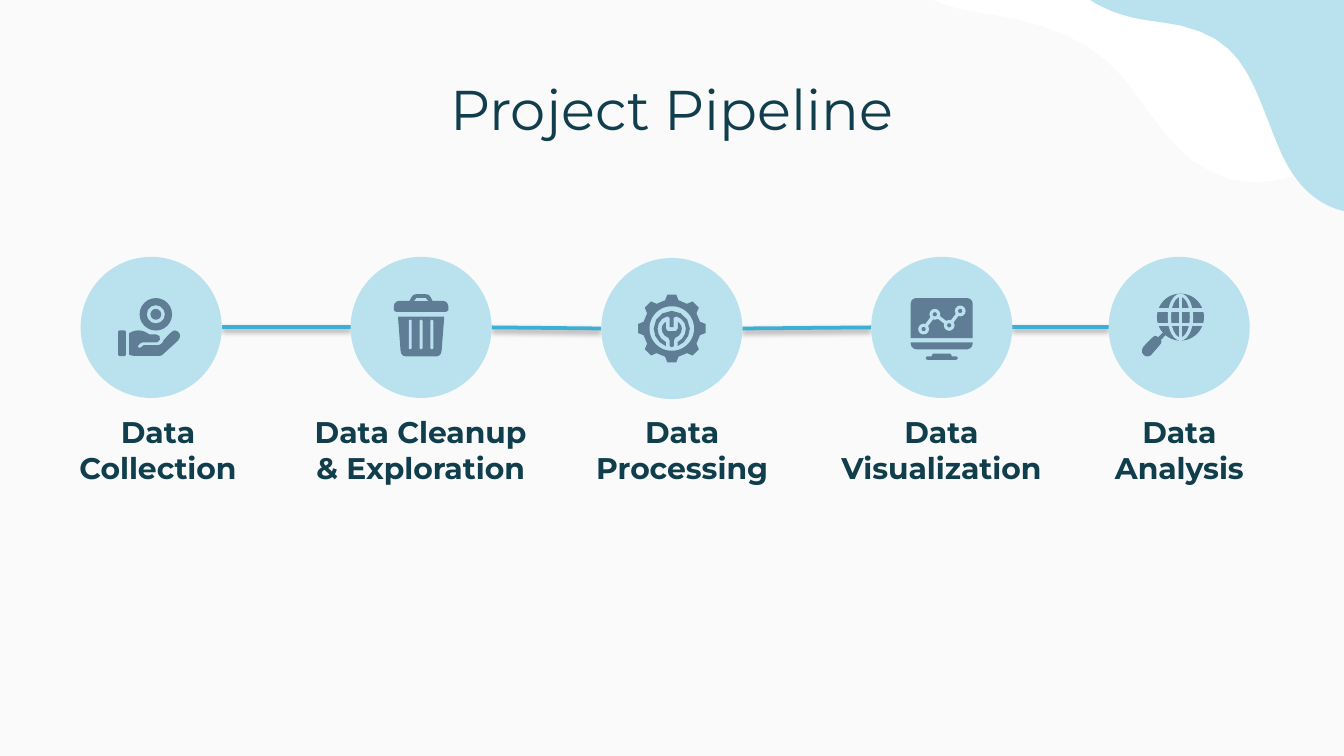
import math
from dataclasses import dataclass

import pptx
import pptx.dml.color
import pptx.enum.shapes
import pptx.enum.text
import pptx.oxml
import pptx.oxml.ns
import pptx.util

Pt = pptx.util.Pt
RGBColor = pptx.dml.color.RGBColor
SHAPE = pptx.enum.shapes.MSO_SHAPE
Point = tuple[float, float]

PAPER = RGBColor(0xFA, 0xFA, 0xFA)
WHITE = RGBColor(0xFF, 0xFF, 0xFF)
SKY = RGBColor(0xBA, 0xE2, 0xEE)
CYAN = RGBColor(0x3E, 0xAF, 0xD4)
SLATE = RGBColor(0x5F, 0x7D, 0x95)
INK = RGBColor(0x10, 0x3E, 0x4C)
FONT = "Montserrat"
HUB = 75.6  # diameter of a stage circle
SHADOW = (f'<a:outerShdw blurRad="{Pt(3.1)}" dist="{Pt(1.6)}" dir="5400000" algn="ctr" '
          'rotWithShape="0"><a:srgbClr val="000000"><a:alpha val="38000"/></a:srgbClr>'
          '</a:outerShdw>')


@dataclass
class Outline:
    points: list[Point]
    fill: RGBColor = SLATE


@dataclass
class Preset:
    """A preset shape, placed by its centre."""
    kind: SHAPE
    x: float
    y: float
    width: float
    height: float
    fill: RGBColor = SLATE
    adjust: float | None = None


@dataclass
class Stroke:
    start: Point
    end: Point
    width: float = 1.8
    color: RGBColor = SKY


Part = Outline | Preset | Stroke


@dataclass
class Stage:
    label: str
    x: float  # circle centre
    y: float
    label_left: float
    label_width: float
    icon: list[Part]


# Geometry
def path(start: Point, *steps: tuple[float, ...], cuts: int = 3) -> list[Point]:
    """A step of two numbers is a line, a step of six a Bezier curve."""
    points = [start]
    for step in steps:
        if len(step) == 2:
            points.append(step)
            continue
        knots = [points[-1], step[:2], step[2:4], step[4:]]
        for t in (i / cuts for i in range(1, cuts + 1)):
            weights = [math.comb(3, k) * t**k * (1 - t) ** (3 - k) for k in range(4)]
            points.append(tuple(sum(w * knot[axis] for w, knot in zip(weights, knots))
                                for axis in (0, 1)))
    return points


def mirrored(*half: tuple[float, ...]) -> Outline:
    points = path(*half)
    return Outline(points + [(-x, y) for x, y in reversed(points)])


def disc(x: float, y: float, r: float, fill: RGBColor = SLATE) -> Preset:
    return Preset(SHAPE.OVAL, x, y, 2 * r, 2 * r, fill)


# Icons, measured from the centre of their circle
def hand_with_coin() -> list[Part]:
    hand = path(
        (-6.8, 1.6), (-9, 1.6, -10.4, 2.3, -11.9, 3.1), (-11.9, 14.6),
        (-10.4, 15.3, -9, 15.3, -8.3, 15.3), (3.2, 15.3), (4.7, 15.3, 5.4, 15.3, 6.1, 14.6),
        (14, 7.4), (14, 7.4, 15.5, 5.9, 15.5, 4.5), (15.5, 3.1, 14, 1.6, 12.6, 1.6),
        (11.9, 1.6, 10.4, 2.3, 6.8, 6.7), (6.1, 8.8, 4.7, 9.5, 3.2, 9.5), (-4, 9.5),
        (-5.4, 10.6), (-6.1, 11), (-6.8, 11, -7.6, 10.3, -6.8, 9.5),
        (-6.1, 8.8, -5.4, 8.1, -4.7, 8.1), (3.2, 8.1), (5.4, 7.4, 5.4, 3.7, 2.5, 3.7),
        (-1, 3.7), (-3.2, 2.3, -4.7, 1.6, -6.8, 1.6))
    return [disc(2.5, -7, 2.9), Preset(SHAPE.DONUT, 2.5, -7, 17.4, 17.4, adjust=0.22),
            Preset(SHAPE.ROUNDED_RECTANGLE, -15.6, 8.5, 4.2, 13.8, adjust=0.24), Outline(hand)]


def trash_bin() -> list[Part]:
    lid = mirrored((-2.5, -17.8), (-4, -17.8, -4.7, -17.1, -5.4, -15.7), (-6.1, -14.2),
                   (-11.9, -14.2), (-13.3, -14.2, -14.6, -12.8, -14.6, -11.3), (-14.6, -9.1),
                   (-13.3, -8.3))
    handle = Outline([(-2.5, -15.7), (2.5, -15.7), (3.7, -14.2), (-3.7, -14.2)], SKY)
    body = mirrored((0, -5.7), (-12.4, -5.7), (-11, 12.4), (-11, 14.5, -9.7, 15.5, -8.3, 15.5))
    slots = [Preset(SHAPE.ROUNDED_RECTANGLE, x, 3.8, 1.6, 15.8, SKY, 0.5) for x in (-5.8, 0, 5.8)]
    return [lid, handle, body, *slots]


def gear_with_wrench() -> list[Part]:
    tooth = [(-3.6, -15.1), (-2.4, -18.1), (2.4, -18.1), (3.6, -15.1)]
    turns = [(math.cos(a), math.sin(a)) for a in (math.radians(45 * i) for i in range(8))]
    gear = [(x * c - y * s, x * s + y * c) for c, s in turns for x, y in tooth]
    ring = mirrored((0, -9.5), (-5.2, -9.5, -9.7, -5, -9.7, 0),
                    (-9.7, 4.3, -6.8, 7.9, -3.2, 9.4), (-3.2, 7.2),
                    (-6.1, 5.8, -7.6, 2.9, -7.6, 0), (-7.6, -2.9, -5.4, -5.8, -2.5, -6.5),
                    (-1.1, -5.8), (-1.1, -0.7))
    wrench = mirrored((0, 1.4), (-2.2, 1.4), (-3.2, 0), (-3.2, -3.6),
                      (-4.3, -2.9, -5.4, -1.4, -5.4, 0), (-5.4, 2.2, -4, 4.3, -1.8, 5),
                      (-1.1, 6.5), (-1.1, 9.4), (0, 10.1))
    return [Outline(gear), disc(0, 0, 11.9, SKY), ring, wrench]


def chart_monitor() -> list[Part]:
    screen = mirrored((0, -15.7), (-13.7, -15.7), (-15.3, -15.7, -16.6, -14.3, -16.6, -12.8),
                      (-16.6, 5.8))
    rim = mirrored((0, 8), (-16.6, 8), (-16.6, 8.8), (-16.6, 10.3, -15.1, 11.7, -13.7, 11.7))
    stand = mirrored((0, 14), (-4.7, 14), (-5.4, 15.5), (-7.6, 15.5),
                     (-9, 15.5, -9, 17.4, -7.6, 17.4))
    nodes = [(-9.7, 0.9), (-3.7, -7), (4, -1.1), (9.9, -8.8)]
    return [screen, rim, stand, *[Stroke(a, b) for a, b in zip(nodes, nodes[1:])],
            *[disc(x, y, r, fill) for r, fill in ((2.9, SKY), (1.1, SLATE)) for x, y in nodes]]


def globe_magnifier() -> list[Part]:
    x, y, r = 0.7, -5.5, 12.6
    grip = path((-9, 3.1), (-11.2, 5.2), (-12.6, 4.5), (-13.3, 4.5, -14, 5.2, -14.8, 5.9),
                (-19.1, 10.3), (-20.2, 11.7, -20.2, 13.9, -19.1, 14.6),
                (-18.4, 15.3, -17.6, 15.5, -16.9, 15.5),
                (-16.2, 15.5, -15.5, 15.3, -14.8, 14.6), (-10.4, 9.5),
                (-9.7, 8.8, -9, 7.4, -9.7, 6.7), (-7.6, 4.5), (-6, 3))
    parallels = [Stroke((x - r, y + dy), (x + r, y + dy)) for dy in (-3.9, 3.9)]
    return [Outline(grip), disc(x, y, r), *parallels, Stroke((x, y - r), (x, y + r)),
            Preset(SHAPE.DONUT, x, y, 13.6, 2 * r, SKY, 0.13)]


STAGES = [
    Stage("Data Collection", 81, 175.4, 16.6, 136.1, hand_with_coin()),
    Stage("Data Cleanup\n& Exploration", 225.6, 175.4, 158.4, 133.9, trash_bin()),
    Stage("Data Processing", 359.9, 176, 297.4, 136.1, gear_with_wrench()),
    Stage("Data Visualization", 504.5, 175.4, 436.3, 136.1, chart_monitor()),
    Stage("Data\nAnalysis", 631.7, 175.4, 563.8, 136.1, globe_magnifier()),
]


# Drawing
def draw_stroke(shapes, stroke: Stroke, x: float = 0, y: float = 0, effect: str = ""):
    (x1, y1), (x2, y2) = stroke.start, stroke.end
    line = shapes.add_connector(pptx.enum.shapes.MSO_CONNECTOR.STRAIGHT,
                                Pt(x + x1), Pt(y + y1), Pt(x + x2), Pt(y + y2))
    line.line.color.rgb, line.line.width = stroke.color, Pt(stroke.width)
    line._element.spPr.append(pptx.oxml.parse_xml(
        f'<a:effectLst {pptx.oxml.ns.nsdecls("a")}>{effect}</a:effectLst>'))
    return line


def draw_part(shapes, part: Part, x: float = 0, y: float = 0):
    if isinstance(part, Stroke):
        return draw_stroke(shapes, part, x, y)
    if isinstance(part, Preset):
        drawn = shapes.add_shape(part.kind, Pt(x + part.x - part.width / 2),
                                 Pt(y + part.y - part.height / 2), Pt(part.width), Pt(part.height))
        if part.adjust is not None:
            drawn.adjustments[0] = part.adjust
    else:
        points = [(Pt(x + px), Pt(y + py)) for px, py in part.points]
        builder = shapes.build_freeform(*points[0], scale=1.0)
        builder.add_line_segments(points[1:], close=True)
        drawn = builder.convert_to_shape()
    drawn.shadow.inherit = False
    drawn.fill.solid()
    drawn.fill.fore_color.rgb = part.fill
    drawn.line.fill.background()
    return drawn


def draw_text(shapes, text: str, box: tuple[float, ...], size: float, bold: bool) -> None:
    frame = shapes.add_textbox(*map(Pt, box)).text_frame
    frame.word_wrap = True
    frame.vertical_anchor = pptx.enum.text.MSO_ANCHOR.MIDDLE
    frame.margin_left = frame.margin_right = frame.margin_top = frame.margin_bottom = Pt(7.2)
    paragraph = frame.paragraphs[0]
    paragraph.alignment = pptx.enum.text.PP_ALIGN.CENTER
    for i, line in enumerate(text.split("\n")):
        if i:
            paragraph.add_line_break()
        run = paragraph.add_run()
        run.text = line
        run.font.name, run.font.size, run.font.bold = FONT, Pt(size), bold
        run.font.color.rgb = INK


def draw_stage(shapes, stage: Stage) -> None:
    draw_part(shapes, disc(stage.x, stage.y, HUB / 2, SKY))
    shapes.add_group_shape([draw_part(shapes, part, stage.x, stage.y) for part in stage.icon])
    draw_text(shapes, stage.label, (stage.label_left, 219.9, stage.label_width, 41.8), 16, True)


def main() -> None:
    deck = pptx.Presentation()
    deck.slide_width, deck.slide_height = Pt(720), Pt(405)
    slide = deck.slides.add_slide(deck.slide_layouts[6])
    slide.background.fill.solid()
    slide.background.fill.fore_color.rgb = PAPER
    shapes = slide.shapes

    # Corner waves
    white_wave = path((500, 0), (505.4, 2.2), (524, 9.4, 564.5, 7.2, 593.3, 33.1),
                      (602, 41, 609, 50.4, 615.6, 60.5), (622.8, 69.8, 630, 79.2, 639.4, 86.4),
                      (668, 107.3, 694, 95, 720, 83), (720, 0), cuts=8)
    sky_wave = path((584, 0), (594, 6.5, 606, 10, 619.2, 11.5), (666, 16.6, 668.9, 39.6, 684, 76.3),
                    (693.5, 101, 707, 110, 720, 113.2), (720, 0), cuts=10)
    draw_part(shapes, Outline(white_wave, WHITE))
    draw_part(shapes, Outline(sky_wave, SKY))

    # Title and pipeline
    draw_text(shapes, "Project Pipeline", (56.7, 35.4, 606.6, 45.1), 30, False)
    for a, b in zip(STAGES, STAGES[1:]):
        link = Stroke((a.x + HUB / 2, a.y), (b.x - HUB / 2, b.y), 2, CYAN)
        draw_stroke(shapes, link, effect=SHADOW)
    for stage in STAGES:
        draw_stage(shapes, stage)
    deck.save("out.pptx")


if __name__ == "__main__":
    main()
